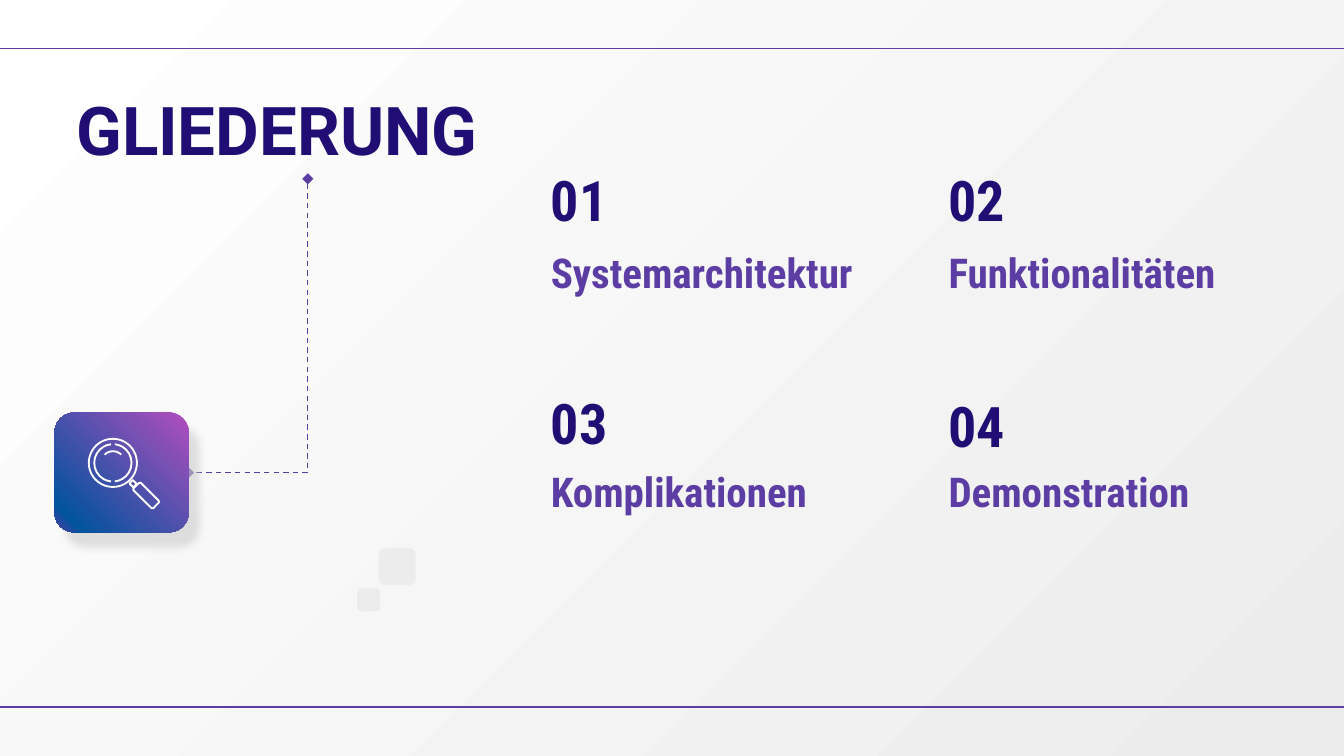
from lxml.etree import SubElement
from pptx import Presentation
from pptx.dml.color import RGBColor
from pptx.enum.dml import MSO_LINE
from pptx.enum.shapes import MSO_CONNECTOR, MSO_SHAPE
from pptx.enum.text import MSO_ANCHOR
from pptx.oxml.ns import qn
from pptx.util import Pt

NAVY, PURPLE, PALE, WHITE = "200E74", "5C3DA4", "ECECEC", "FFFFFF"
HEADING = "GLIEDERUNG"
# number, title, left, number top, title top, title width
CHAPTERS = [
    ("01", "Systemarchitektur", 288, 82.8, 135.3, 188),
    ("02", "Funktionalitäten", 501.1, 82.8, 135.3, 172.8),
    ("03", "Komplikationen", 288, 202.3, 252.7, 172.8),
    ("04", "Demonstration", 501.1, 203.8, 252.7, 172.8),
]
RULE_TOPS = [25.9, 378.7]
PALE_SQUARES = [(203, 293.6, 19.7), (191.3, 315.2, 12.3)]  # left, top, side
BACKGROUND_STOPS = [(0, WHITE), (100, PALE)]
CARD_STOPS = [(0, "B24EBE"), (89, "01539D"), (100, PURPLE)]
LENS = (60.5, 248)
LENS_ARCS = [(10, 96, 264), (10, 276, 84), (6.3, 225, 315)]  # radius, from, to
HANDLE_PARTS = [  # shape, centre x, centre y, width, height
    (MSO_SHAPE.RECTANGLE, 71.3, 259.2, 3, 2.6),
    (MSO_SHAPE.ROUNDED_RECTANGLE, 78.3, 265.5, 15, 5.6),
]

prs = Presentation()
prs.slide_width, prs.slide_height = Pt(720), Pt(405)
slide = prs.slides.add_slide(prs.slide_layouts[6])


def rgb(value):
    return RGBColor.from_string(value)


def set_gradient(fill, stops, clockwise):
    fill.gradient()
    fill.gradient_angle = 360 - clockwise
    stop_list = fill.gradient_stops[0]._gs.getparent()
    for old in list(stop_list):
        stop_list.remove(old)
    for percent, color in stops:
        stop = SubElement(stop_list, qn("a:gs"), pos=str(percent * 1000))
        SubElement(stop, qn("a:srgbClr"), val=color)


def add_text(text, left, top, width, height, size, font, color, anchor=MSO_ANCHOR.BOTTOM):
    frame = slide.shapes.add_textbox(Pt(left), Pt(top), Pt(width), Pt(height)).text_frame
    frame.word_wrap = True
    frame.vertical_anchor = anchor
    frame.margin_left = frame.margin_right = frame.margin_top = frame.margin_bottom = Pt(7.2)
    frame.text = text
    style = frame.paragraphs[0].runs[0].font
    style.name, style.size, style.bold = font, Pt(size), True
    style.color.rgb = rgb(color)


def add_preset(kind, left, top, width, height, color=None):
    """Add a shape without outline, filled only if a colour is given."""
    shape = slide.shapes.add_shape(kind, Pt(left), Pt(top), Pt(width), Pt(height))
    shape.shadow.inherit = False
    shape.line.fill.background()
    if color:
        shape.fill.solid()
        shape.fill.fore_color.rgb = rgb(color)
    else:
        shape.fill.background()
    return shape


def outline(shape, color, width):
    shape.line.color.rgb = rgb(color)
    shape.line.width = Pt(width)


def add_line(kind, x1, y1, x2, y2):
    line = slide.shapes.add_connector(kind, Pt(x1), Pt(y1), Pt(x2), Pt(y2))
    outline(line, PURPLE, 0.75)
    SubElement(line._element.spPr, qn("a:effectLst"))
    return line


def add_elbow(x1, y1, x2, y2):
    """Dashed line that runs down from the start, then left to the end."""
    down, across = y2 - y1, x1 - x2
    middle_x, middle_y = (x1 + x2) / 2, (y1 + y2) / 2
    elbow = add_line(MSO_CONNECTOR.ELBOW, middle_x - down / 2, middle_y - across / 2,
                     middle_x + down / 2, middle_y + across / 2)
    elbow.line.dash_style = MSO_LINE.DASH
    properties = elbow._element.spPr
    properties.find(qn("a:xfrm")).set("rot", str(90 * 60000))
    properties.find(qn("a:prstGeom")).set("prst", "bentConnector2")
    for end in ("a:headEnd", "a:tailEnd"):
        SubElement(properties.find(qn("a:ln")), qn(end), type="diamond")


def add_card():
    card = add_preset(MSO_SHAPE.ROUNDED_RECTANGLE, 29.2, 221, 72, 64.3)
    set_gradient(card.fill, CARD_STOPS, 135)
    effects = card._element.spPr.find(qn("a:effectLst"))
    shadow = SubElement(effects, qn("a:outerShdw"), blurRad=str(Pt(4.5)),
                        dist=str(Pt(9.8)), dir=str(55 * 60000), algn="bl", rotWithShape="0")
    color = SubElement(shadow, qn("a:srgbClr"), val="CCCCCC")
    SubElement(color, qn("a:alpha"), val="60000")


def add_around_lens(kind, radius):
    x, y = LENS
    ring = add_preset(kind, x - radius, y - radius, 2 * radius, 2 * radius)
    outline(ring, WHITE, 1)
    return ring


def add_magnifier():
    add_around_lens(MSO_SHAPE.OVAL, 12.9)
    for radius, start, end in LENS_ARCS:
        arc = add_around_lens(MSO_SHAPE.ARC, radius)
        for index, degrees in enumerate((start, end)):
            arc.adjustments[index] = degrees * 0.6  # 60000ths of a degree / 100000
    for kind, x, y, width, height in HANDLE_PARTS:
        part = add_preset(kind, x - width / 2, y - height / 2, width, height)
        part.rotation = 45
        outline(part, WHITE, 1)


set_gradient(slide.background.fill, BACKGROUND_STOPS, 45)
for top in RULE_TOPS:
    add_line(MSO_CONNECTOR.STRAIGHT, 0, top, 720, top)

add_text(HEADING, 33.8, 40.3, 262, 55.4, 36, "Roboto", NAVY, MSO_ANCHOR.TOP)
for number, title, left, number_top, title_top, title_width in CHAPTERS:
    add_text(number, left, number_top, 172.8, 49, 30, "Roboto Condensed", NAVY)
    add_text(title, left, title_top, title_width, 31, 22, "Roboto Condensed", PURPLE)

for left, top, side in PALE_SQUARES:
    add_preset(MSO_SHAPE.ROUNDED_RECTANGLE, left, top, side, side, PALE)
add_elbow(164.9, 95.8, 101, 253.2)
add_card()
add_magnifier()

prs.save("out.pptx")
